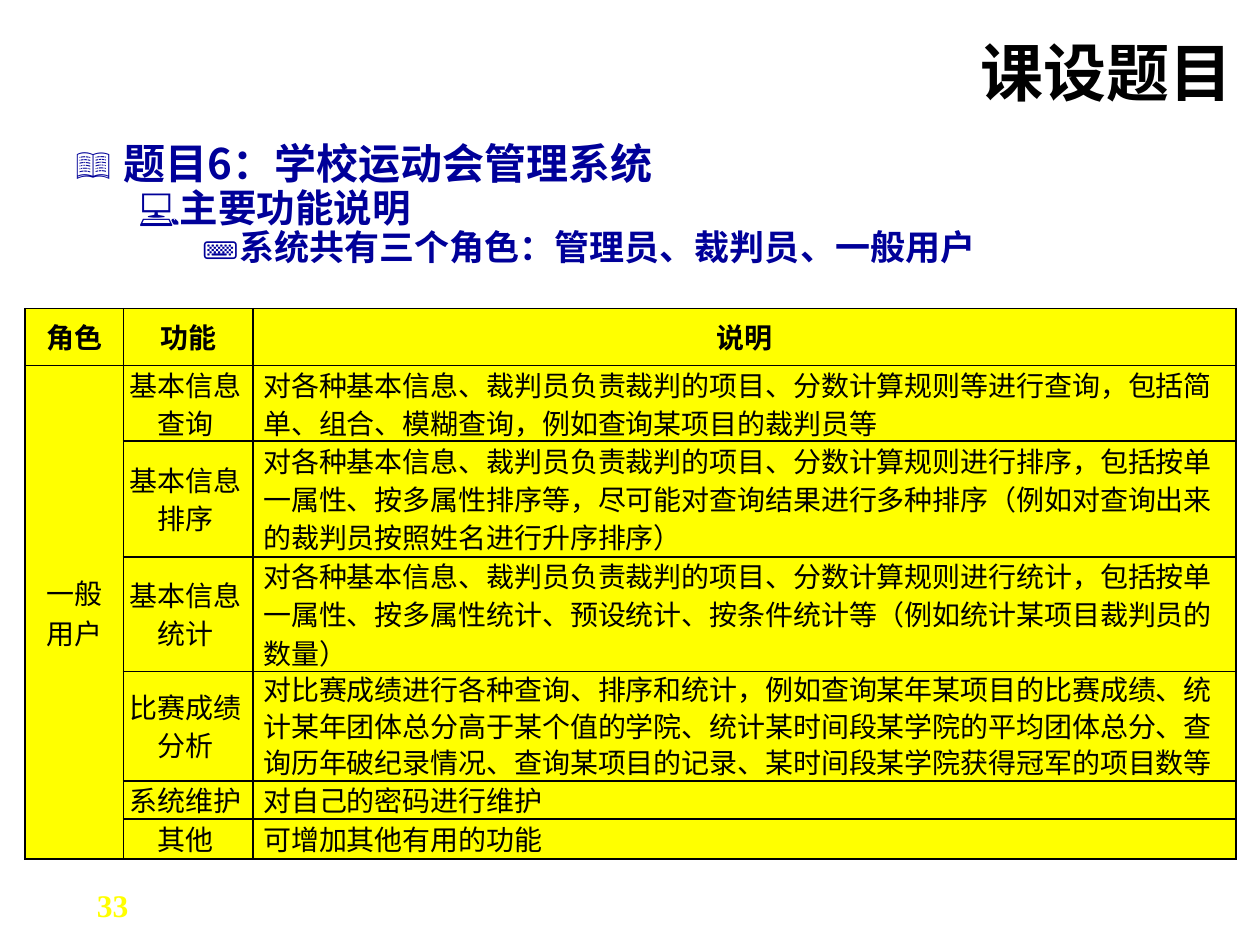
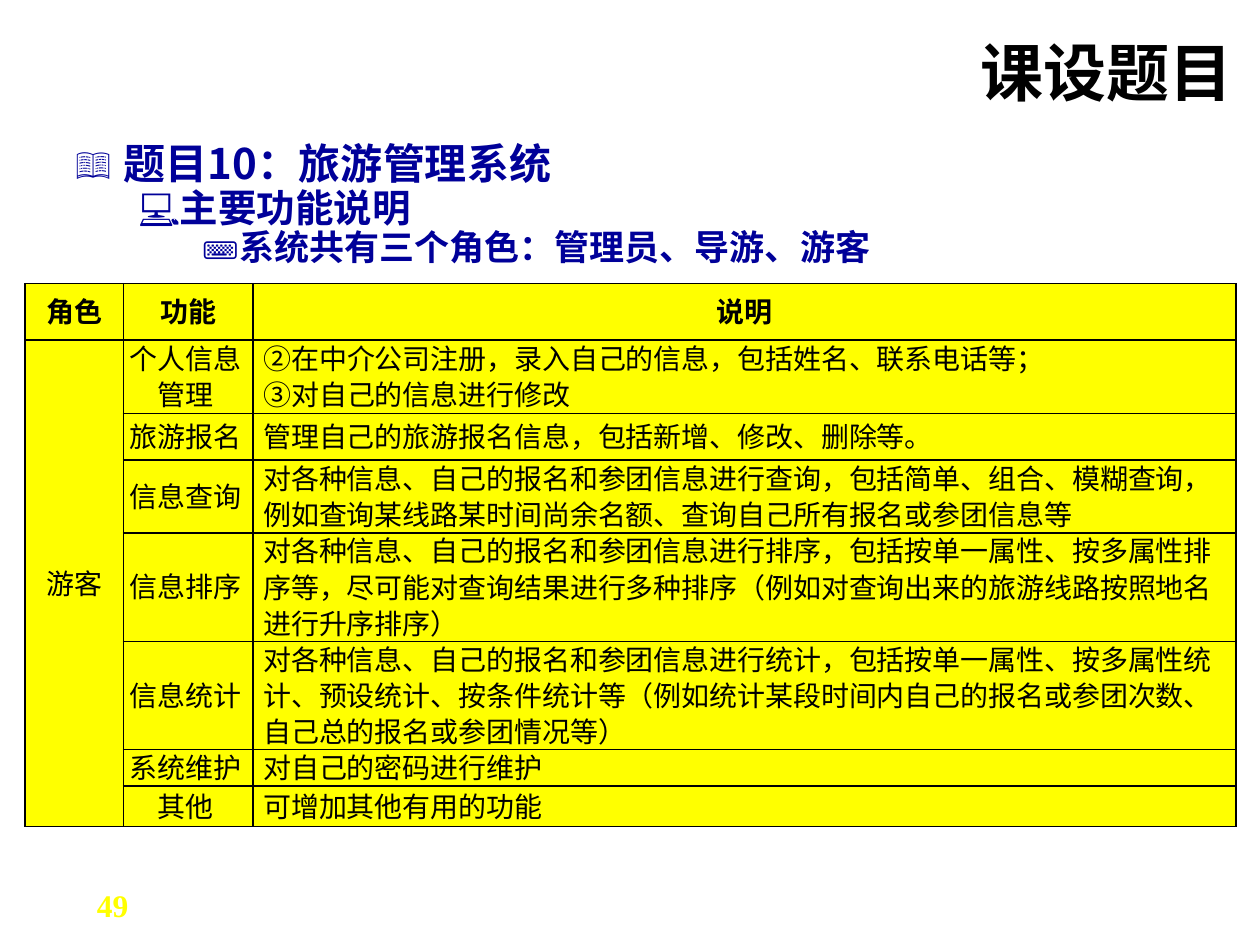
from dataclasses import dataclass

from lxml.etree import SubElement
from pptx import Presentation
from pptx.dml.color import RGBColor
from pptx.enum.text import MSO_ANCHOR, MSO_AUTO_SIZE, PP_ALIGN
from pptx.oxml.ns import qn
from pptx.util import Inches, Pt


@dataclass(frozen=True)
class Theme:
    """Colours, fonts and type sizes shared by the slides."""

    black: str = "000000"
    navy: str = "000099"
    yellow: str = "FFFF00"
    font: str = "Noto Sans CJK SC"
    number_font: str = "Times New Roman"
    marker_font: str = "Calibri"
    title_size: int = 36
    outline_sizes: tuple = (24, 22, 20)
    cell_size: int = 16
    number_size: int = 18
    border: float = 1
    outline_spacing: float = 0.9


@dataclass(frozen=True)
class Bullet:
    """Symbol, size and indents of one outline level."""

    symbol: str
    percent: int
    left: float
    hanging: float


@dataclass(frozen=True)
class Feature:
    """One function of a role and its explanation."""

    name: str
    details: str
    height: float
    spacing: float


@dataclass(frozen=True)
class Topic:
    """Content of one course project slide."""

    number: str
    outline: tuple
    role: str
    role_inset: float
    role_spacing: float
    table_top: float
    spacing: float
    features: tuple


THEME = Theme()
BULLETS = (
    Bullet("📖", 80, 0.38, 0.38),
    Bullet("💻", 100, 0.81, 0.31),
    Bullet("⌨", 100, 1.25, 0.25),
)
HEADINGS = ("角色", "功能", "说明")
COLUMN_WIDTHS = (0.78, 1.03, 7.8)
HEADING_HEIGHT = 0.45
CELL_INSET = 0.08
NAME_INSET = 0.04
MARKERS = "②③"

MEET = Topic(
    number="33",
    outline=("题目6：学校运动会管理系统", "主要功能说明", "系统共有三个角色：管理员、裁判员、一般用户"),
    role="一般用户",
    role_inset=0.1,
    role_spacing=1.0,
    table_top=2.45,
    spacing=0.95,
    features=(
        Feature("基本信息查询", "对各种基本信息、裁判员负责裁判的项目、分数计算规则等进行查询，包括简单、组合、模糊查询，例如查询某项目的裁判员等", 0.6, 0.95),
        Feature("基本信息排序", "对各种基本信息、裁判员负责裁判的项目、分数计算规则进行排序，包括按单一属性、按多属性排序等，尽可能对查询结果进行多种排序（例如对查询出来的裁判员按照姓名进行升序排序）", 0.92, 0.95),
        Feature("基本信息统计", "对各种基本信息、裁判员负责裁判的项目、分数计算规则进行统计，包括按单一属性、按多属性统计、预设统计、按条件统计等（例如统计某项目裁判员的数量）", 0.91, 0.95),
        Feature("比赛成绩分析", "对比赛成绩进行各种查询、排序和统计，例如查询某年某项目的比赛成绩、统计某年团体总分高于某个值的学院、统计某时间段某学院的平均团体总分、查询历年破纪录情况、查询某项目的记录、某时间段某学院获得冠军的项目数等", 0.87, 0.9),
        Feature("系统维护", "对自己的密码进行维护", 0.3, 0.95),
        Feature("其他", "可增加其他有用的功能", 0.32, 0.95),
    ),
)

TRAVEL = Topic(
    number="49",
    outline=("题目10：旅游管理系统", "主要功能说明", "系统共有三个角色：管理员、导游、游客"),
    role="游客",
    role_inset=CELL_INSET,
    role_spacing=0.9,
    table_top=2.25,
    spacing=0.9,
    features=(
        Feature("个人信息管理", "②在中介公司注册，录入自己的信息，包括姓名、联系电话等；\n③对自己的信息进行修改", 0.58, 0.9),
        Feature("旅游报名", "管理自己的旅游报名信息，包括新增、修改、删除等。", 0.37, 0.9),
        Feature("信息查询", "对各种信息、自己的报名和参团信息进行查询，包括简单、组合、模糊查询，例如查询某线路某时间尚余名额、查询自己所有报名或参团信息等", 0.58, 0.9),
        Feature("信息排序", "对各种信息、自己的报名和参团信息进行排序，包括按单一属性、按多属性排序等，尽可能对查询结果进行多种排序（例如对查询出来的旅游线路按照地名进行升序排序）", 0.86, 0.9),
        Feature("信息统计", "对各种信息、自己的报名和参团信息进行统计，包括按单一属性、按多属性统计、预设统计、按条件统计等（例如统计某段时间内自己的报名或参团次数、自己总的报名或参团情况等）", 0.86, 0.9),
        Feature("系统维护", "对自己的密码进行维护", 0.29, 0.9),
        Feature("其他", "可增加其他有用的功能", 0.32, 0.9),
    ),
)


def style_span(span, size, color, bold=True, latin=THEME.font, asian=THEME.font):
    """Format one run for both Latin and East Asian text."""
    span.font.size = Pt(size)
    span.font.bold = bold
    span.font.color.rgb = RGBColor.from_string(color)
    span.font.name = latin
    SubElement(span.font._element, qn("a:ea"), typeface=asian)


def place(shape, left, top, width, height):
    """Move and size a shape, in inches."""
    shape.left, shape.top = Inches(left), Inches(top)
    shape.width, shape.height = Inches(width), Inches(height)


def add_title(slide, text):
    """Fill the title placeholder, right aligned."""
    title = slide.shapes.title
    place(title, 2.48, 0.13, 7.4, 0.87)
    title.text_frame.text = text
    title.text_frame.vertical_anchor = MSO_ANCHOR.MIDDLE
    para = title.text_frame.paragraphs[0]
    para.alignment = PP_ALIGN.RIGHT
    style_span(para.runs[0], THEME.title_size, THEME.black)


def set_bullet(para, bullet):
    """Give a paragraph its symbol and hanging indent."""
    properties = para._p.get_or_add_pPr()
    properties.set("marL", str(Inches(bullet.left)))
    properties.set("indent", str(-Inches(bullet.hanging)))
    SubElement(properties, qn("a:buSzPct"), val=str(bullet.percent * 1000))
    SubElement(properties, qn("a:buChar"), char=bullet.symbol)


def add_outline(slide, lines):
    """Fill the body placeholder with one line per level."""
    body = slide.placeholders[1]
    place(body, 0.5, 1.09, 9.3, 5.59)
    frame = body.text_frame
    frame.text = "\n".join(lines)
    frame.auto_size = MSO_AUTO_SIZE.NONE
    levels = zip(frame.paragraphs, BULLETS, THEME.outline_sizes)
    for level, (para, bullet, size) in enumerate(levels):
        para.level = level
        para.line_spacing = THEME.outline_spacing
        para.space_before = Pt(0)
        set_bullet(para, bullet)
        style_span(para.runs[0], size, THEME.navy)


def set_borders(cell):
    """Draw the four edges of a cell."""
    properties = cell._tc.get_or_add_tcPr()
    for edge in ("lnL", "lnR", "lnT", "lnB"):
        line = SubElement(properties, qn(f"a:{edge}"), w=str(Pt(THEME.border)))
        fill = SubElement(line, qn("a:solidFill"))
        SubElement(fill, qn("a:srgbClr"), val=THEME.black)


def paint_cell(cell):
    """Give a cell its borders and fill."""
    set_borders(cell)
    cell.fill.solid()
    cell.fill.fore_color.rgb = RGBColor.from_string(THEME.yellow)


def split_marker(para):
    """Put a leading circled number in its own run and return the runs' fonts."""
    text = para.text
    if text[0] not in MARKERS:
        return (THEME.font,)
    para.text = text[0]
    para.add_run().text = text[1:]
    return (THEME.marker_font, THEME.font)


def write_cell(cell, text, spacing, align=PP_ALIGN.CENTER, bold=False, left=CELL_INSET, right=CELL_INSET):
    """Write and format the text of a cell."""
    cell.text_frame.text = text
    cell.vertical_anchor = MSO_ANCHOR.MIDDLE
    cell.margin_left, cell.margin_right = Inches(left), Inches(right)
    cell.margin_top = cell.margin_bottom = 0
    for para in cell.text_frame.paragraphs:
        para.alignment = align
        para.line_spacing = spacing
        fonts = split_marker(para)
        for span, font in zip(para.runs, fonts):
            style_span(span, THEME.cell_size, THEME.black, bold, font)


def add_feature_table(slide, topic):
    """Add the table of functions for the topic's role."""
    heights = [HEADING_HEIGHT] + [feature.height for feature in topic.features]
    table = slide.shapes.add_table(
        len(heights), len(COLUMN_WIDTHS), Inches(0.2), Inches(topic.table_top),
        Inches(sum(COLUMN_WIDTHS)), Inches(sum(heights)),
    ).table
    table.first_row = table.horz_banding = False
    for column, width in zip(table.columns, COLUMN_WIDTHS):
        column.width = Inches(width)
    for row, height in zip(table.rows, heights):
        row.height = Inches(height)
    for cell in table.iter_cells():
        paint_cell(cell)
    for index, heading in enumerate(HEADINGS):
        write_cell(table.cell(0, index), heading, topic.spacing, bold=True)
    role = table.cell(1, 0)
    role.merge(table.cell(len(topic.features), 0))
    write_cell(role, topic.role, topic.role_spacing, left=topic.role_inset, right=topic.role_inset)
    for index, feature in enumerate(topic.features, start=1):
        write_cell(table.cell(index, 1), feature.name, topic.spacing, left=NAME_INSET)
        write_cell(table.cell(index, 2), feature.details, feature.spacing, PP_ALIGN.LEFT)


def add_page_number(slide, number):
    """Add the page number at the lower left."""
    box = slide.shapes.add_textbox(Inches(0.67), Inches(6.98), Inches(0.5), Inches(0.4))
    frame = box.text_frame
    frame.word_wrap = False
    frame.auto_size = MSO_AUTO_SIZE.SHAPE_TO_FIT_TEXT
    frame.text = number
    span = frame.paragraphs[0].runs[0]
    style_span(span, THEME.number_size, THEME.yellow, latin=THEME.number_font, asian=THEME.number_font)


def add_topic_slide(deck, topic):
    """Build one course project slide."""
    slide = deck.slides.add_slide(deck.slide_layouts[1])
    add_page_number(slide, topic.number)
    add_title(slide, "课设题目")
    add_outline(slide, topic.outline)
    add_feature_table(slide, topic)


def main():
    """Build and save the deck."""
    deck = Presentation()
    deck.slide_width, deck.slide_height = Inches(10), Inches(7.5)
    for topic in (MEET, TRAVEL):
        add_topic_slide(deck, topic)
    deck.save("out.pptx")


if __name__ == "__main__":
    main()
